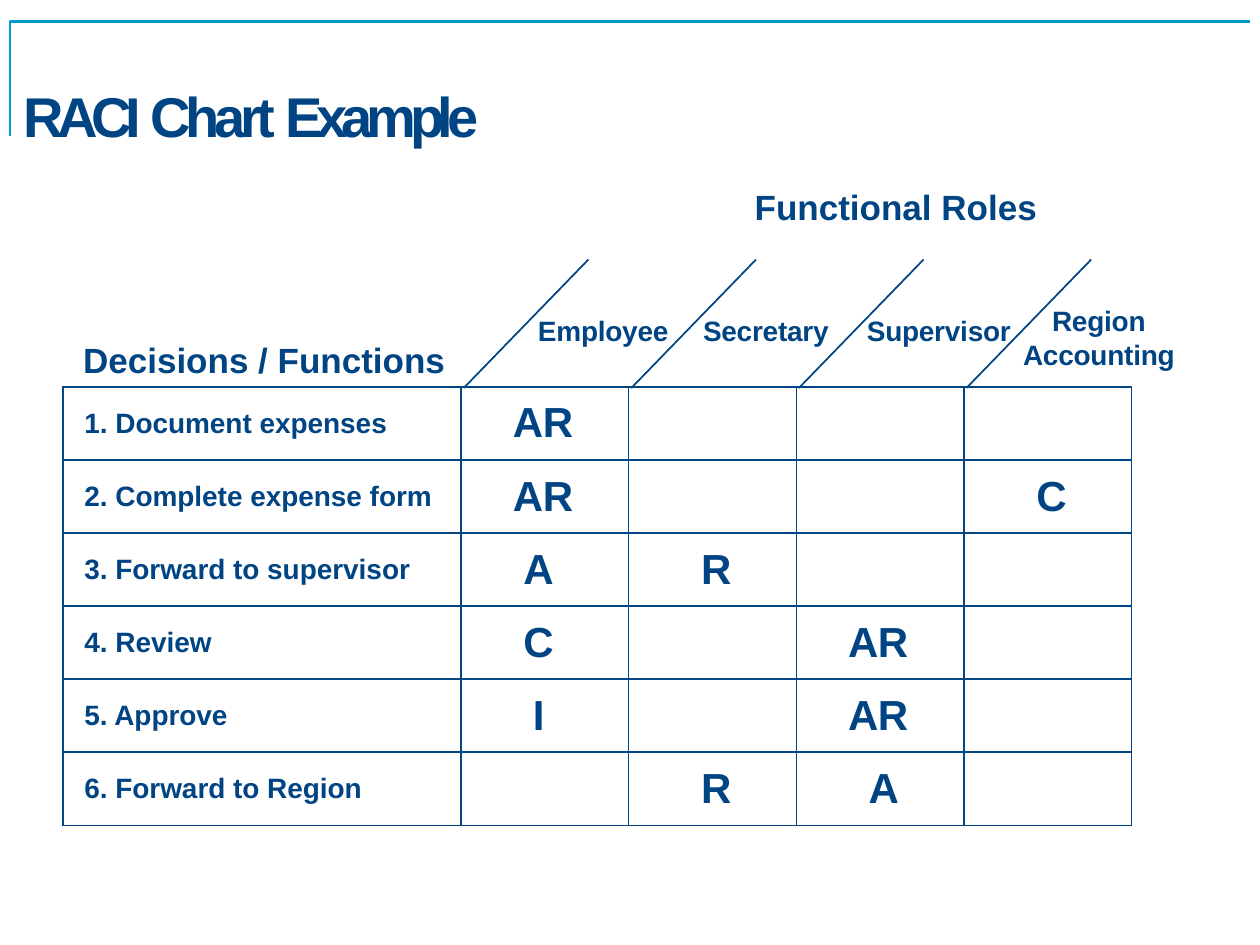
from lxml.etree import SubElement
from pptx import Presentation
from pptx.dml.color import RGBColor
from pptx.enum.shapes import MSO_CONNECTOR
from pptx.enum.text import MSO_ANCHOR, PP_ALIGN
from pptx.oxml import parse_xml
from pptx.oxml.ns import nsdecls, qn
from pptx.util import Inches, Pt

COLORS = {"text": "004483", "grid": "014582", "frame": "029ACA"}
ROLES = [
    ("Employee", 4.26, 2.48, 1.08, 0.3, 0),
    ("Secretary", 5.57, 2.48, 1.04, 0.3, 0),
    ("Supervisor", 6.87, 2.48, 1.19, 0.3, 0),
    ("Region Accounting", 8.11, 2.4, 1.25, 0.56, 0.23),
]
ROWS = [
    ("1. Document expenses", "AR", "", "", ""),
    ("2. Complete expense form", "AR", "", "", "C"),
    ("3. Forward to supervisor", "A", "R", "", ""),
    ("4. Review", "C", "", "AR", ""),
    ("5. Approve", "I", "", "AR", ""),
    ("6. Forward to Region", "", "R", "A", ""),
]
TABLE_LEFT, TABLE_TOP = 0.5, 3.07
LABEL_W, ROLE_W, ROW_H = 3.16, 1.33, 0.58


def rgb(name):
    """Return a palette colour."""
    return RGBColor.from_string(COLORS[name])


def write(tf, runs, size, align=PP_ALIGN.LEFT):
    """Write (text, letter spacing) runs as one bold paragraph."""
    p = tf.paragraphs[0]
    p.alignment = align
    p.font.name, p.font.size, p.font.bold = "Arial", Pt(size), True
    p.font.color.rgb = rgb("text")
    for text, spacing in runs:
        r = p.add_run()
        r.text = text
        if spacing:
            r._r.get_or_add_rPr().set("spc", str(round(spacing * 100)))
    return p


def set_margins(obj, left=0, top=0, right=0):
    """Set the inner margins of a text frame or cell."""
    obj.margin_left, obj.margin_top = Inches(left), Inches(top)
    obj.margin_right, obj.margin_bottom = Inches(right), 0


def add_title(s):
    """Format the title placeholder."""
    sp = s.shapes.title
    sp.left, sp.top = Inches(0.18), Inches(0.17)
    sp.width, sp.height = Inches(9.37), Inches(1.03)
    tf = sp.text_frame
    set_margins(tf, 0.01, 0.48)
    tf.vertical_anchor = MSO_ANCHOR.TOP
    write(tf, [("RACI ", -3.7), ("Chart ", -3.1), ("Example", -3.6)], 32)


def add_frame(s):
    """Draw the corner line around the title."""
    builder = s.shapes.build_freeform(Inches(0.08), Inches(1.08))
    builder.add_line_segments(
        [(Inches(0.08), Inches(0.17)), (Inches(9.92), Inches(0.17))], close=False)
    sp = builder.convert_to_shape()
    sp.shadow.inherit = False
    sp.fill.background()
    sp.line.color.rgb = rgb("frame")
    sp.line.width = Pt(1.5)


def add_label(s, text, left, top, width, height, size, spacing=0, indent=0):
    """Add a bold text label."""
    tf = s.shapes.add_textbox(
        Inches(left), Inches(top), Inches(width), Inches(height)).text_frame
    tf.word_wrap = True
    set_margins(tf, 0.01, 0.01)
    p = write(tf, [(text, spacing)], size)
    if indent:
        p._p.get_or_add_pPr().set("indent", str(Inches(indent)))


def add_divider(s, left):
    """Draw a slanted line between role headings."""
    line = s.shapes.add_connector(
        MSO_CONNECTOR.STRAIGHT,
        Inches(left), Inches(3.08), Inches(left + 0.99), Inches(2.06))
    line.line.color.rgb = rgb("grid")
    line.line.width = Pt(1)
    SubElement(line._element.spPr, qn("a:effectLst"))


def set_borders(cell):
    """Outline a cell on all four sides."""
    tcPr = cell._tc.get_or_add_tcPr()
    for i, side in enumerate(("lnL", "lnR", "lnT", "lnB")):
        tcPr.insert(i, parse_xml(
            f'<a:{side} {nsdecls("a")} w="{Pt(1)}"><a:solidFill>'
            f'<a:srgbClr val="{COLORS["grid"]}"/></a:solidFill></a:{side}>'))


def fill_cell(cell, text, col):
    """Format a cell and write its function or role code."""
    cell.fill.background()
    cell.vertical_anchor = MSO_ANCHOR.MIDDLE
    set_borders(cell)
    if col == 0:
        set_margins(cell, left=0.17)
        write(cell.text_frame, [(text, 0)], 16)
        return
    if text == "AR":
        set_margins(cell, right=0.03)
    elif col == 1:
        set_margins(cell, right=0.1)
    else:
        set_margins(cell, left=0.06)
    if text:
        write(cell.text_frame, [(text, -0.2)], 24, PP_ALIGN.CENTER)


def add_matrix(s):
    """Add the responsibility table."""
    table = s.shapes.add_table(
        len(ROWS), len(ROWS[0]), Inches(TABLE_LEFT), Inches(TABLE_TOP),
        Inches(LABEL_W + ROLE_W * len(ROLES)), Inches(ROW_H * len(ROWS))).table
    table.first_row = table.horz_banding = False
    for i, column in enumerate(table.columns):
        column.width = Inches(ROLE_W if i else LABEL_W)
    for row, values in zip(table.rows, ROWS):
        row.height = Inches(ROW_H)
        for col, (cell, text) in enumerate(zip(row.cells, values)):
            fill_cell(cell, text, col)


def main():
    """Build the slide and save it."""
    prs = Presentation()
    prs.slide_width, prs.slide_height = Inches(10), Inches(7.5)
    s = prs.slides.add_slide(prs.slide_layouts[5])
    add_frame(s)
    add_title(s)
    for i in range(len(ROLES)):
        add_divider(s, 3.68 + i * ROLE_W)
    add_label(s, "Functional Roles", 5.98, 1.46, 2.27, 0.36, 20)
    add_label(s, "Decisions / Functions", 0.65, 2.68, 2.9, 0.36, 20)
    for text, left, top, width, height, indent in ROLES:
        add_label(s, text, left, top, width, height, 16, -0.1, indent)
    add_matrix(s)
    prs.save("out.pptx")


if __name__ == "__main__":
    main()
